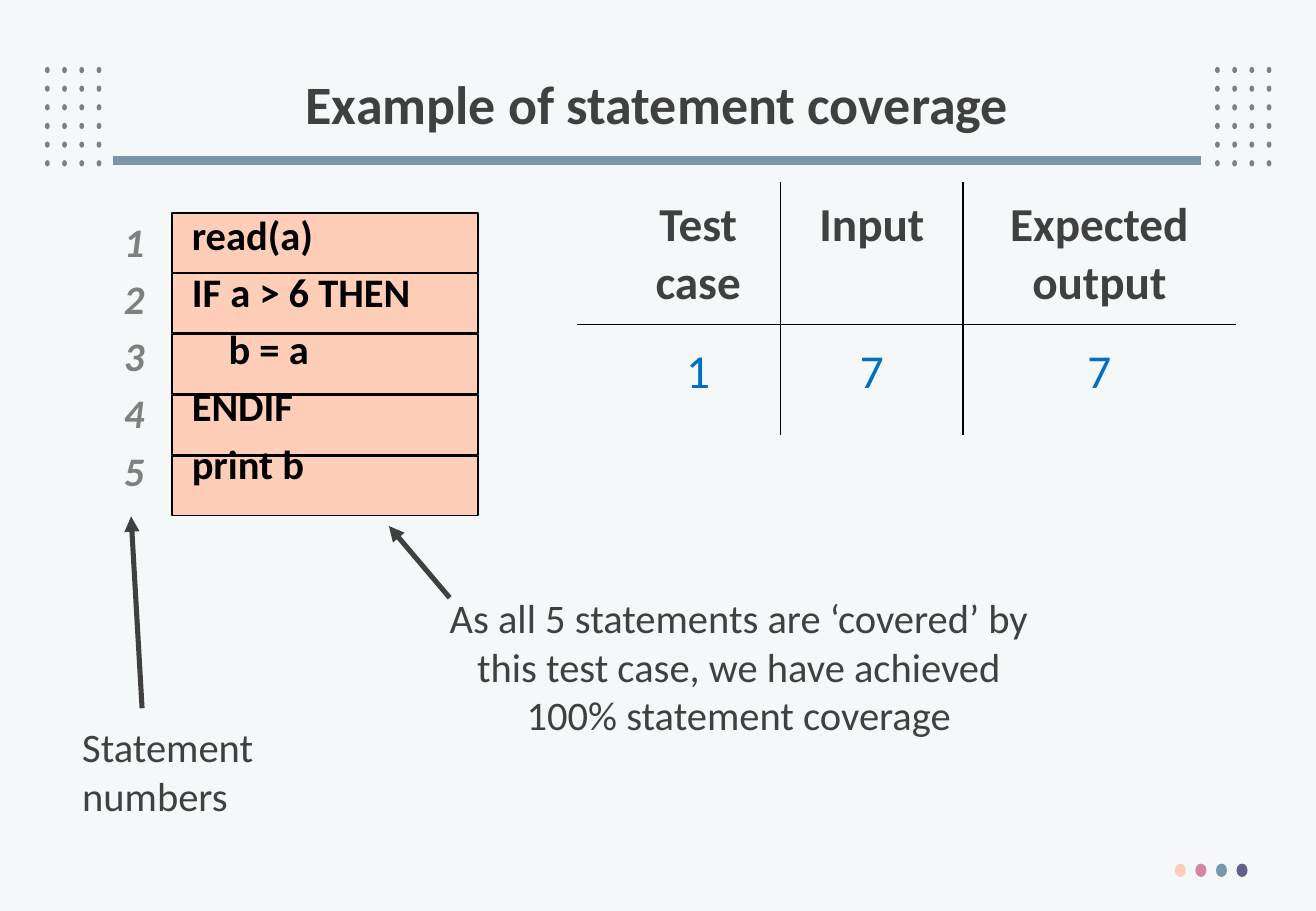
"""Build the slide that explains statement coverage with a small example."""
from lxml.etree import SubElement
from pptx import Presentation
from pptx.dml.color import RGBColor
from pptx.enum.shapes import MSO_CONNECTOR, MSO_SHAPE
from pptx.enum.text import MSO_ANCHOR, PP_ALIGN
from pptx.oxml.ns import qn
from pptx.util import Cm, Pt

FONT = "Calibri"
NO_STYLE_TABLE = "{2D5ABB26-0587-4C30-8999-92F81FD0307C}"
COLORS = {
    "background": "F5F8F9", "text": "404040", "gray": "808080", "black": "000000",
    "value": "0070C0", "code": "FECEB9", "peach": "FDCEB9", "pink": "D885A3",
    "steel": "7897AB", "violet": "655D8A",
}
CODE = ["read(a)", "IF a > 6 THEN", "b = a", "ENDIF", "print b"]
INDENTED_STATEMENT = 2
COVERAGE_HEADER = [["Test", "case"], ["Input"], ["Expected", "output"]]
COVERAGE_VALUES = [["1"], ["7"], ["7"]]
COLUMN_WIDTHS = [4.25, 3.81, 5.7]
COLUMN_LEFT_MARGINS = [0.8, 0, 0]
CODE_SPACING = {"line_spacing": 0.86, "gap": 9.2}


def rgb(name):
    return RGBColor.from_string(COLORS[name])


def write_lines(frame, lines, size, color, bold=False, italic=False,
                align=PP_ALIGN.LEFT, line_spacing=1.0, gap=0):
    for index, line in enumerate(lines):
        paragraph = frame.add_paragraph() if index else frame.paragraphs[0]
        paragraph.alignment = align
        paragraph.line_spacing = line_spacing
        paragraph.space_before = Pt(gap if index else 0)
        run = paragraph.add_run()
        run.text = line
        font = run.font
        font.name, font.size, font.bold, font.italic = FONT, Pt(size), bold, italic
        font.color.rgb = rgb(color)


def add_text(slide, left, top, width, height, lines, size, color,
             anchor=MSO_ANCHOR.TOP, inset=(0.25, 0.13), **style):
    box = slide.shapes.add_textbox(Cm(left), Cm(top), Cm(width), Cm(height))
    frame = box.text_frame
    frame.word_wrap = True
    frame.vertical_anchor = anchor
    frame.margin_left = frame.margin_right = Cm(inset[0])
    frame.margin_top = frame.margin_bottom = Cm(inset[1])
    write_lines(frame, lines, size, color, **style)
    return frame


def add_filled_shape(slide, kind, left, top, width, height, fill, outline=None):
    shape = slide.shapes.add_shape(kind, Cm(left), Cm(top), Cm(width), Cm(height))
    shape.shadow.inherit = False
    shape.fill.solid()
    shape.fill.fore_color.rgb = rgb(fill)
    if outline:
        shape.line.color.rgb = rgb(outline)
        shape.line.width = Pt(1)
    else:
        shape.line.fill.background()


def add_line(slide, start, end, color, width, arrow=False):
    connector = slide.shapes.add_connector(
        MSO_CONNECTOR.STRAIGHT, *(Cm(value) for value in (*start, *end)))
    connector.line.color.rgb = rgb(color)
    connector.line.width = Pt(width)
    if arrow:
        SubElement(connector.line._get_or_add_ln(), qn("a:tailEnd"), type="triangle")
    SubElement(connector._element.spPr, qn("a:effectLst"))


def add_dot_grid(slide, left):
    for row in range(6):
        for column in range(4):
            add_filled_shape(slide, MSO_SHAPE.OVAL, left + 0.36 * column,
                             1.4 + 0.39 * row, 0.1, 0.13, "gray")


def add_cell_border(cell, side):
    border = SubElement(cell._tc.get_or_add_tcPr(), qn(f"a:{side}"), w=str(Pt(1)))
    fill = SubElement(border, qn("a:solidFill"))
    SubElement(fill, qn("a:srgbClr"), val=COLORS["black"])


def add_coverage_table(slide):
    frame = slide.shapes.add_table(2, 3, Cm(12.07), Cm(3.81),
                                   Cm(sum(COLUMN_WIDTHS)), Cm(5.28))
    table = frame.table
    table.first_row = table.horz_banding = False
    table._tbl.tblPr.find(qn("a:tableStyleId")).text = NO_STYLE_TABLE
    for column, width in zip(table.columns, COLUMN_WIDTHS):
        column.width = Cm(width)
    table.rows[0].height, table.rows[1].height = Cm(2.97), Cm(2.31)
    for row, texts in enumerate([COVERAGE_HEADER, COVERAGE_VALUES]):
        for column, lines in enumerate(texts):
            cell = table.cell(row, column)
            cell.margin_left = Cm(COLUMN_LEFT_MARGINS[column])
            cell.margin_right = cell.margin_bottom = Cm(0)
            cell.margin_top = Cm(0.4 if row else 0.3)
            if column < 2:
                add_cell_border(cell, "lnR")
            if row == 0:
                add_cell_border(cell, "lnB")
            cell.fill.background()
            write_lines(cell.text_frame, lines, 28, "value" if row else "text",
                        bold=row == 0, align=PP_ALIGN.CENTER)


def add_code(slide):
    for index in range(len(CODE)):
        add_filled_shape(slide, MSO_SHAPE.RECTANGLE, 3.6, 4.45 + 1.27 * index,
                         6.4, 1.25, "code", "black")
    frame = add_text(slide, 3.83, 4.45, 6.32, 6.17, CODE, 24, "black",
                     inset=(0.18, 0.08), bold=True, **CODE_SPACING)
    indented = frame.paragraphs[INDENTED_STATEMENT]
    indented._p.get_or_add_pPr().set("marL", str(Cm(0.77)))
    numbers = [str(index + 1) for index in range(len(CODE))]
    add_text(slide, 2.34, 4.45, 1.07, 6.12, numbers, 24, "gray", MSO_ANCHOR.MIDDLE,
             bold=True, italic=True, **CODE_SPACING)


def add_decoration(slide):
    for left in (0.94, 25.4):
        add_dot_grid(slide, left)
    add_line(slide, (25.1, 3.35), (2.36, 3.35), "steel", 5.25)
    for index, color in enumerate(["peach", "pink", "steel", "violet"]):
        add_filled_shape(slide, MSO_SHAPE.OVAL, 24.56 + 0.43 * index, 18.06,
                         0.23, 0.28, color)


def main():
    presentation = Presentation()
    presentation.slide_width, presentation.slide_height = Cm(27.51), Cm(19.05)
    slide = presentation.slides.add_slide(presentation.slide_layouts[6])
    slide.background.fill.solid()
    slide.background.fill.fore_color.rgb = rgb("background")

    add_decoration(slide)
    add_text(slide, 1.88, 1.02, 23.72, 2.49, ["Example of statement coverage"], 32,
             "text", MSO_ANCHOR.MIDDLE, bold=True, align=PP_ALIGN.CENTER,
             line_spacing=0.85)
    add_code(slide)
    add_coverage_table(slide)
    add_text(slide, 9.02, 12.27, 12.85, 3.33,
             ["As all 5 statements are ‘covered’ by",
              "this test case, we have achieved",
              "100% statement coverage"], 24, "text", align=PP_ALIGN.CENTER)
    add_line(slide, (9.4, 12.5), (8.13, 11), "text", 3, arrow=True)
    add_text(slide, 1.47, 14.81, 5.03, 2.62, ["Statement", "numbers"], 24, "text",
             MSO_ANCHOR.MIDDLE)
    add_line(slide, (2.97, 14.81), (2.74, 10.8), "text", 3, arrow=True)
    presentation.save("out.pptx")


if __name__ == "__main__":
    main()
